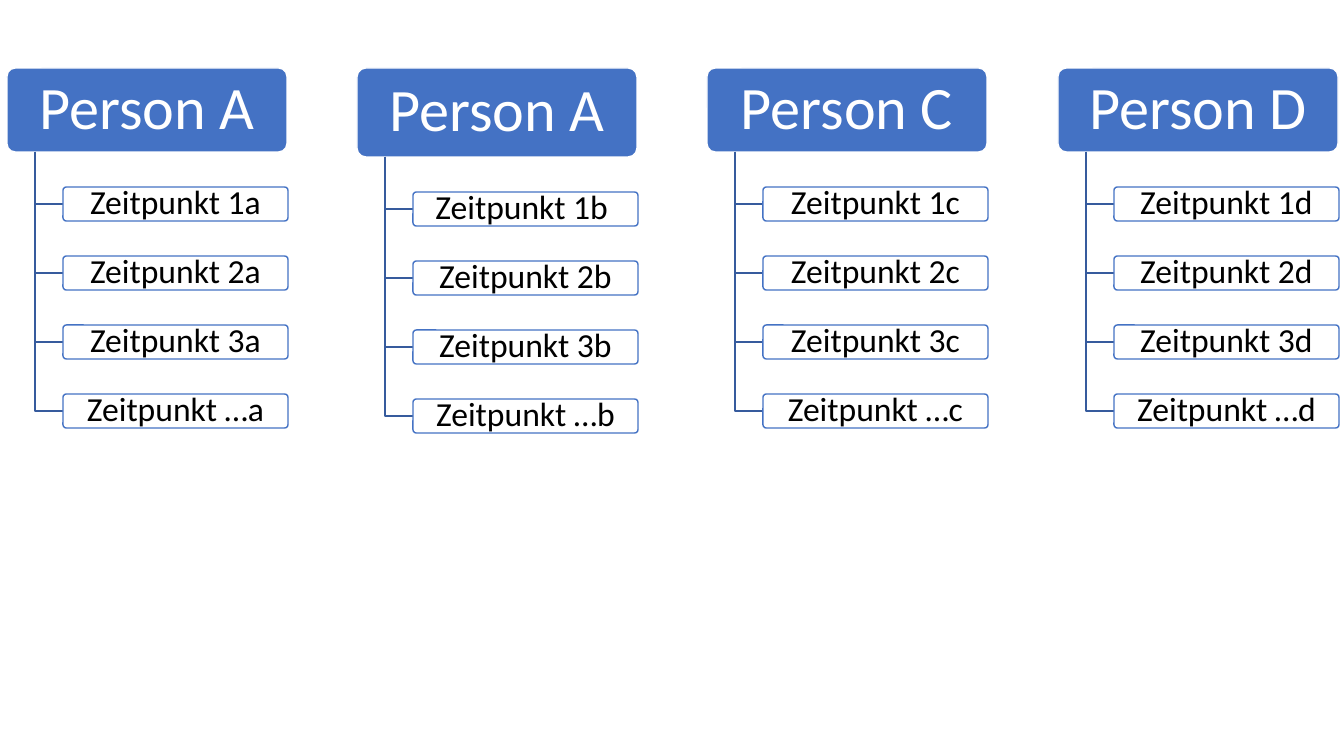
from pptx import Presentation
from pptx.dml.color import RGBColor
from pptx.enum.shapes import MSO_SHAPE
from pptx.enum.text import MSO_ANCHOR, PP_ALIGN
from pptx.oxml.ns import qn
from pptx.util import Emu, Inches, Pt
from lxml import etree

ROUNDED = MSO_SHAPE.ROUNDED_RECTANGLE
MIDDLE = MSO_ANCHOR.MIDDLE
CENTER = PP_ALIGN.CENTER
PX = Inches(1) / 100.8
COLORS = {"blue": "4472C4", "branch": "365B9D", "white": "FFFFFF", "black": "000000"}

PEOPLE = [
    ("Person A", 84, ["1a", "2a", "3a", "…a"]),
    ("Person A", 89, ["1b ", "2b", "3b", "…b"]),
    ("Person C", 84, ["1c", "2c", "3c", "…c"]),
    ("Person D", 84, ["1d", "2d", "3d", "…d"]),
]
HEADER_TOP, HEADER_WIDTH = 68, 280
BOX_WIDTH, BOX_HEIGHT, BOX_PITCH = 225, 34, 69
INDENT = 28

prs = Presentation()
prs.slide_width, prs.slide_height = Inches(13.333), Inches(7.5)
slide = prs.slides.add_slide(prs.slide_layouts[6])


def px(value):
    return Emu(round(value * PX))


def add_box(left, top, width, height, label, size, fill, line, text_color, margins):
    box = slide.shapes.add_shape(ROUNDED, px(left), px(top), px(width), px(height))
    box.adjustments[0] = 0.1
    box.shadow.inherit = False
    box.fill.solid()
    box.fill.fore_color.rgb = RGBColor.from_string(COLORS[fill])
    box.line.color.rgb = RGBColor.from_string(COLORS[line])
    box.line.width = Pt(1)
    frame = box.text_frame
    frame.word_wrap = True
    frame.vertical_anchor = MIDDLE
    frame.margin_left = frame.margin_right = px(margins[0])
    frame.margin_top = frame.margin_bottom = px(margins[1])
    paragraph = frame.paragraphs[0]
    paragraph.text = label
    paragraph.alignment = CENTER
    paragraph.line_spacing = 0.9
    paragraph.font.name = "Calibri"
    paragraph.font.size = Pt(size)
    paragraph.font.color.rgb = RGBColor.from_string(COLORS[text_color])
    return box


for column, (person, header_height, times) in enumerate(PEOPLE):
    left = 7 + column * 1051 // 3
    header_bottom = HEADER_TOP + header_height
    trunk = left + INDENT
    add_box(left, HEADER_TOP, HEADER_WIDTH, header_height, person, 43,
            "blue", "white", "white", (12, 9))
    for row, time in enumerate(times):
        top = header_bottom + 35 + row * BOX_PITCH
        middle = top + BOX_HEIGHT / 2
        builder = slide.shapes.build_freeform(px(trunk), px(header_bottom))
        builder.add_line_segments(
            [(px(trunk), px(middle)), (px(trunk + INDENT), px(middle))], close=False)
        branch = builder.convert_to_shape()
        branch.shadow.inherit = False
        branch.fill.background()
        branch.line.color.rgb = RGBColor.from_string(COLORS["branch"])
        branch.line.width = Pt(1)
        box = add_box(trunk + INDENT, top, BOX_WIDTH, BOX_HEIGHT, f"Zeitpunkt {time}", 24,
                      "white", "blue", "black", (6, 4))
        white = box.fill._xPr.find(qn("a:solidFill"))[0]
        etree.SubElement(white, qn("a:alpha")).set("val", "90000")

prs.save("out.pptx")
